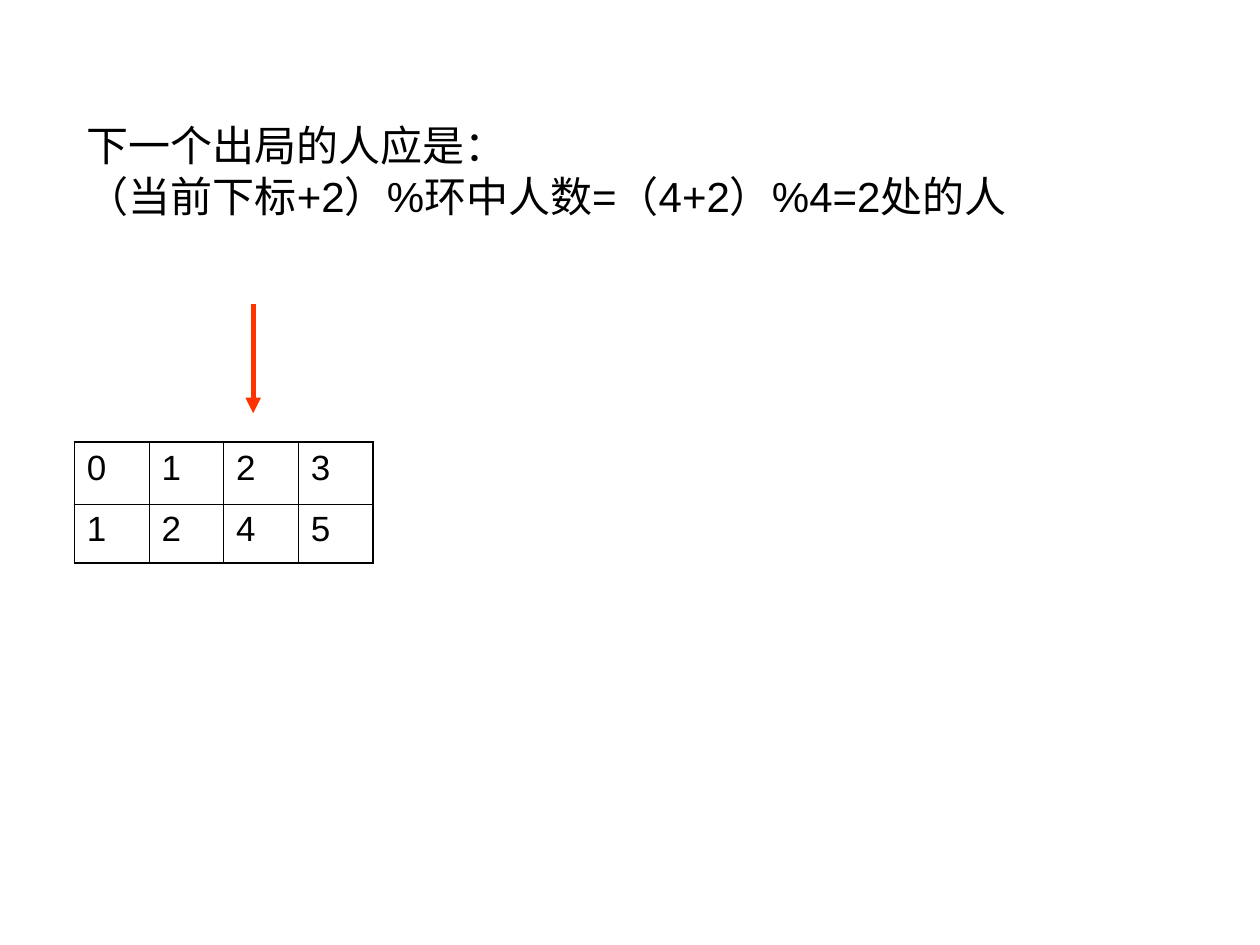
from lxml import etree
from pptx import Presentation
from pptx.dml.color import RGBColor
from pptx.enum import shapes, text
from pptx.oxml.ns import qn
from pptx.util import Pt

# Content
TITLE_LINES = ["下一个出局的人应是：", "（当前下标+2）%环中人数=（4+2）%4=2处的人"]
RING = [["0", "1", "2", "3"],   # positions
        ["1", "2", "4", "5"]]   # people still in the ring

THEME = {"font": "Arial", "ink": "000000", "arrow": "FF3300",
         "title": 24, "cell": 20, "outer": 1.08, "inner": 0.45, "arrow_width": 3}

# Layout, in points
TITLE_BOX = (42.5, 54.7, 612, 85)
TABLE_LEFT, TABLE_TOP = 42.5, 252.7
COLUMN_WIDTH, ROW_HEIGHTS = 42.66, [35.3, 33.8]
ARROW_X, ARROW_TOP, ARROW_BOTTOM = 144.7, 173.5, 236.2


def add_run(paragraph, words, size):
    run = paragraph.add_run()
    run.text = words
    run.font.name = THEME["font"]
    run.font.size = Pt(size)
    run.font.color.rgb = RGBColor.from_string(THEME["ink"])


def set_borders(cell, outer_sides):
    properties = cell._tc.get_or_add_tcPr()
    for index, side in enumerate("LRTB"):
        width = THEME["outer" if side in outer_sides else "inner"]
        line = etree.Element(qn(f"a:ln{side}"), w=str(Pt(width)))
        fill = etree.SubElement(line, qn("a:solidFill"))
        etree.SubElement(fill, qn("a:srgbClr"), val=THEME["ink"])
        properties.insert(index, line)


presentation = Presentation()
presentation.slide_width, presentation.slide_height = Pt(720), Pt(540)
slide = presentation.slides.add_slide(presentation.slide_layouts[5])

# Title
title = slide.shapes.title
title.left, title.top, title.width, title.height = map(Pt, TITLE_BOX)
frame = title.text_frame
frame.word_wrap = True
frame.auto_size = text.MSO_AUTO_SIZE.NONE
frame.vertical_anchor = text.MSO_ANCHOR.MIDDLE
paragraph = frame.paragraphs[0]
paragraph.alignment = text.PP_ALIGN.LEFT
for number, words in enumerate(TITLE_LINES):
    if number:
        paragraph.add_line_break()
    add_run(paragraph, words, THEME["title"])

# Ring table
row_count, column_count = len(RING), len(RING[0])
table = slide.shapes.add_table(
    row_count, column_count, Pt(TABLE_LEFT), Pt(TABLE_TOP),
    Pt(COLUMN_WIDTH * column_count), Pt(sum(ROW_HEIGHTS))).table
table.first_row = table.horz_banding = False
for column in table.columns:
    column.width = Pt(COLUMN_WIDTH)
for r, values in enumerate(RING):
    table.rows[r].height = Pt(ROW_HEIGHTS[r])
    for c, value in enumerate(values):
        cell = table.cell(r, c)
        cell.fill.background()
        paragraph = cell.text_frame.paragraphs[0]
        paragraph.space_before = Pt(5)
        add_run(paragraph, value, THEME["cell"])
        edges = {"L": c == 0, "R": c == column_count - 1,
                 "T": r == 0, "B": r == row_count - 1}
        set_borders(cell, [side for side, is_outer in edges.items() if is_outer])

# Arrow to the next person out
arrow = slide.shapes.add_connector(
    shapes.MSO_CONNECTOR.STRAIGHT, Pt(ARROW_X), Pt(ARROW_TOP), Pt(ARROW_X), Pt(ARROW_BOTTOM))
arrow.line.color.rgb = RGBColor.from_string(THEME["arrow"])
arrow.line.width = Pt(THEME["arrow_width"])
etree.SubElement(arrow.line._get_or_add_ln(), qn("a:tailEnd"), type="triangle")
etree.SubElement(arrow._element.spPr, qn("a:effectLst"))

presentation.save("out.pptx")
